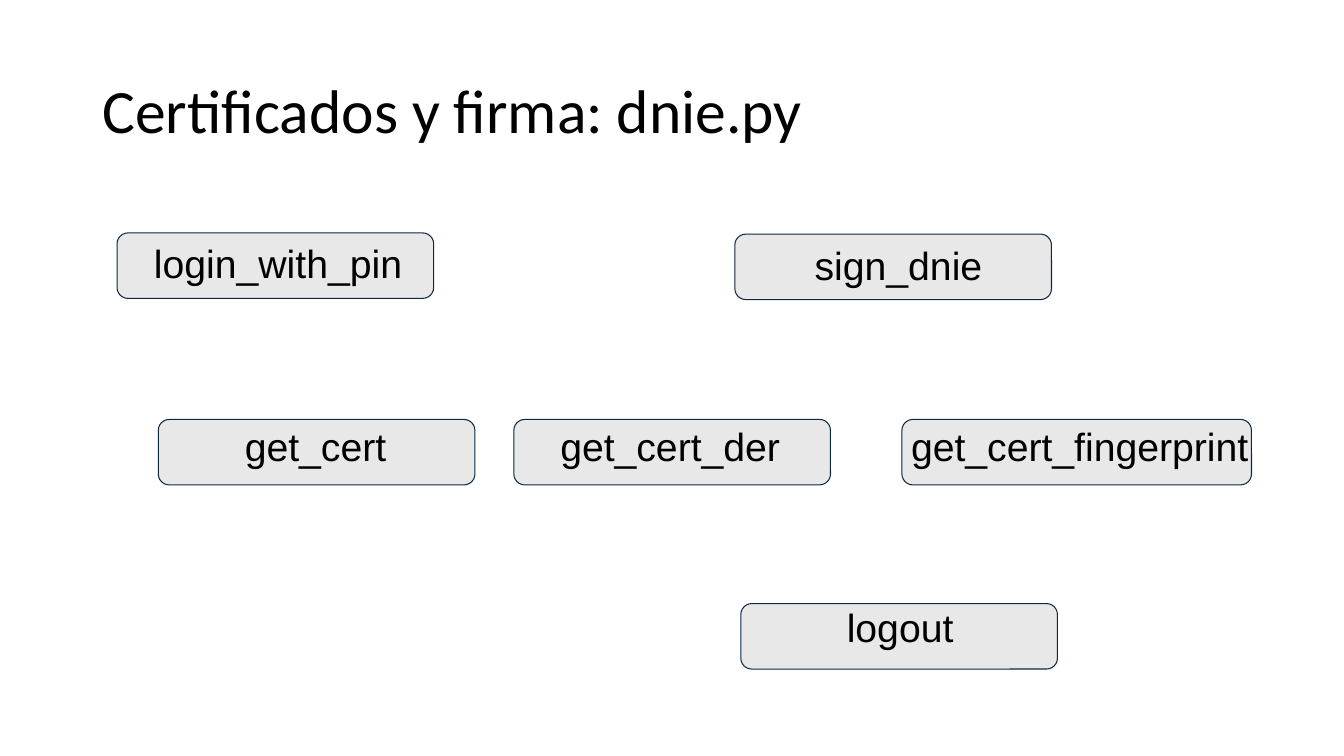
from pptx import Presentation
from pptx.dml.color import RGBColor
from pptx.enum.shapes import MSO_SHAPE
from pptx.enum.text import MSO_ANCHOR, MSO_AUTO_SIZE, PP_ALIGN
from pptx.util import Cm, Pt

ROUNDED = MSO_SHAPE.ROUNDED_RECTANGLE
TOP, MIDDLE = MSO_ANCHOR.TOP, MSO_ANCHOR.MIDDLE
LEFT = PP_ALIGN.LEFT
NO_AUTOFIT = MSO_AUTO_SIZE.NONE

BLACK = RGBColor(0x00, 0x00, 0x00)
GREY = RGBColor(0xE8, 0xE8, 0xE8)
NAVY = RGBColor(0x0E, 0x28, 0x41)

FUNCTION_WIDTH, FUNCTION_HEIGHT = 7.98, 1.65
WIDE_FUNCTION_WIDTH = 8.81
LABEL_OVERHANG = 0.4

SESSION_FUNCTIONS = [
    ("login_with_pin", 0, 0, FUNCTION_WIDTH, 0.93, 0.15),
    ("sign_dnie", 15.57, 0.03, FUNCTION_WIDTH, 2.01, 0.18),
]
CERTIFICATE_FUNCTIONS = [
    ("get_cert", 0, 0, FUNCTION_WIDTH, 2.18, 0.08),
    ("get_cert_der", 8.96, 0, FUNCTION_WIDTH, 1.17, 0.08),
    ("get_cert_fingerprint", 18.74, 0, WIDE_FUNCTION_WIDTH, 0.23, 0.08),
]
LOGOUT_FUNCTIONS = [("logout", 0, 0, FUNCTION_WIDTH, 2.67, 0)]


def style_text(frame, text, font_name, size, anchor):
    """Write one left-aligned black paragraph into a text frame."""
    frame.word_wrap = True
    frame.auto_size = NO_AUTOFIT
    frame.vertical_anchor = anchor
    paragraph = frame.paragraphs[0]
    paragraph.text = text
    paragraph.alignment = LEFT
    paragraph.font.name = font_name
    paragraph.font.size = Pt(size)
    paragraph.font.color.rgb = BLACK
    return paragraph


def add_title(slide, left, top, width, height):
    """Fill the title placeholder and move it into the given box."""
    title = slide.shapes.title
    title.left, title.top = Cm(left), Cm(top)
    title.width, title.height = Cm(width), Cm(height)
    heading = style_text(title.text_frame, "Certificados y firma: dnie.py",
                         "Calibri", 44, MIDDLE)
    heading.line_spacing = 0.9


def add_function_row(slide, left, top, functions):
    """Draw a row of labelled functions offset from its top-left corner."""
    for name, dx, dy, width, indent, drop in functions:
        x, y = left + dx, top + dy
        function = slide.shapes.add_shape(
            ROUNDED, Cm(x), Cm(y), Cm(width), Cm(FUNCTION_HEIGHT))
        function.shadow.inherit = False
        function.fill.solid()
        function.fill.fore_color.rgb = GREY
        function.line.color.rgb = NAVY
        function.line.width = Pt(0.75)
        label = slide.shapes.add_textbox(
            Cm(x + indent), Cm(y + drop),
            Cm(width - indent + LABEL_OVERHANG), Cm(FUNCTION_HEIGHT - drop)).text_frame
        label.margin_left = label.margin_right = 0
        label.margin_top = label.margin_bottom = 0
        style_text(label, name, "Arial", 28, TOP)


def main():
    """Build the slide and save the presentation."""
    presentation = Presentation()
    presentation.slide_width, presentation.slide_height = Cm(33.87), Cm(19.05)
    slide = presentation.slides.add_slide(presentation.slide_layouts[5])
    add_title(slide, 2.33, 1.01, 29.21, 3.68)
    add_function_row(slide, 2.95, 5.87, SESSION_FUNCTIONS)
    add_function_row(slide, 3.99, 10.57, CERTIFICATE_FUNCTIONS)
    add_function_row(slide, 18.67, 15.21, LOGOUT_FUNCTIONS)
    presentation.save("out.pptx")


if __name__ == "__main__":
    main()
